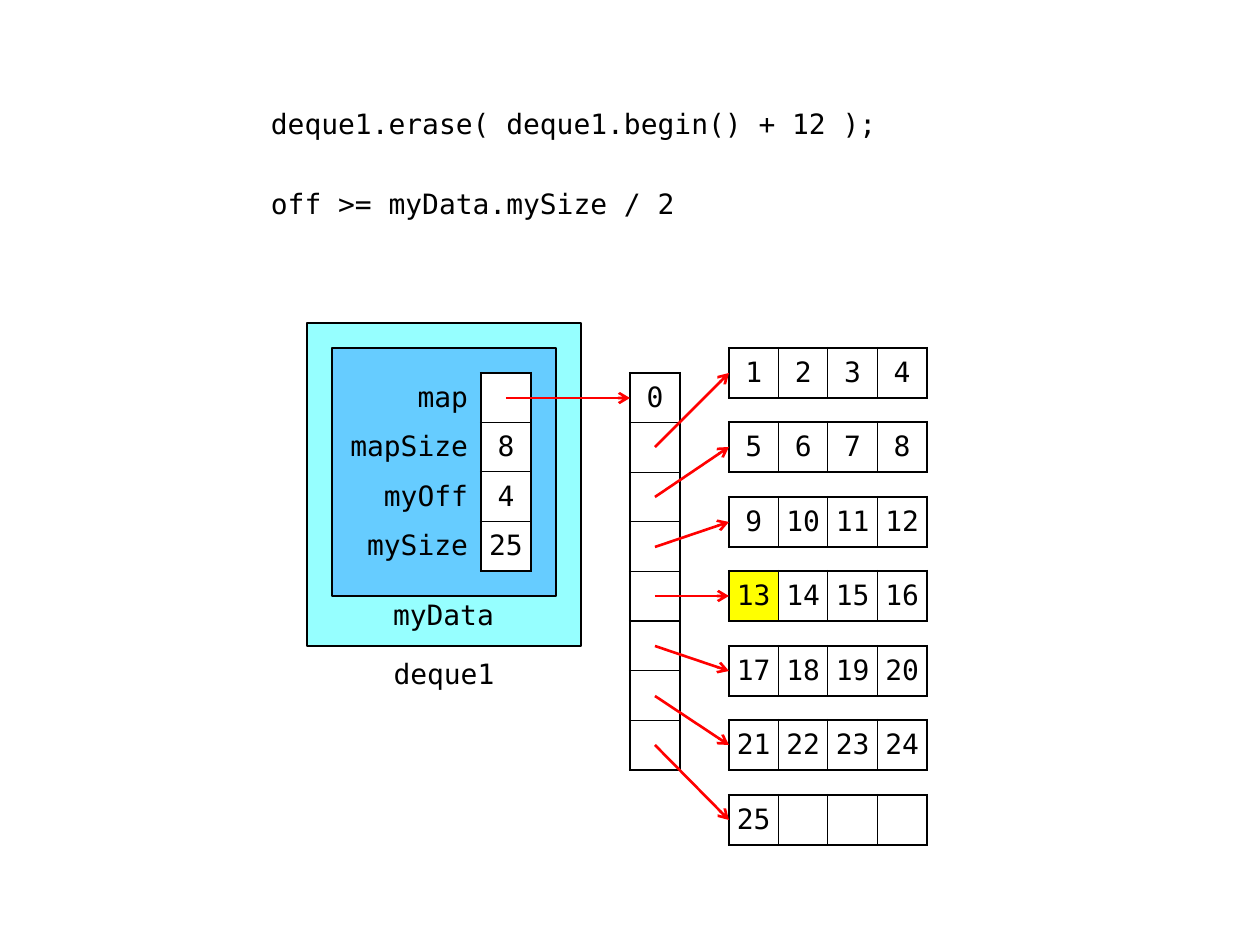
"""Draw a deque erase diagram with its map and blocks."""
from dataclasses import dataclass

from lxml import etree
from pptx import Presentation
from pptx.dml.color import RGBColor
from pptx.enum.shapes import MSO_CONNECTOR, MSO_SHAPE
from pptx.enum.text import MSO_ANCHOR, PP_ALIGN
from pptx.oxml.ns import qn
from pptx.util import Pt

SCALE = 914400 / 126
STRAIGHT = MSO_CONNECTOR.STRAIGHT
PROCESS = MSO_SHAPE.FLOWCHART_PROCESS
TOP, MIDDLE = MSO_ANCHOR.TOP, MSO_ANCHOR.MIDDLE
LEFT, CENTER, RIGHT = PP_ALIGN.LEFT, PP_ALIGN.CENTER, PP_ALIGN.RIGHT


@dataclass(frozen=True)
class Theme:
    """Hold the colours, type and line widths."""
    font: str = "DejaVu Sans Mono"
    size: int = 16
    gap: int = 26
    ink: str = "000000"
    paper: str = "FFFFFF"
    mark: str = "FFFF00"
    arrow: str = "FF0000"
    outer: str = "96FFFF"
    inner: str = "66CCFF"
    thick: float = 1.5
    thin: float = 0.75


THEME = Theme()


def px(*values):
    """Turn pixels into EMU."""
    return [round(value * SCALE) for value in values]


def color(code):
    """Turn a hex code into a colour."""
    return RGBColor.from_string(code)


def style(frame, align):
    """Align and format all text in a frame."""
    for para in frame.paragraphs:
        para.alignment = align
        for run in para.runs:
            run.font.name = THEME.font
            run.font.size = Pt(THEME.size)
            run.font.color.rgb = color(THEME.ink)


def add_text(slide, box, text, align=CENTER, anchor=TOP, inset=(13, 6)):
    """Add a text box with a side and a top inset."""
    frame = slide.shapes.add_textbox(*px(*box)).text_frame
    frame.word_wrap = True
    frame.vertical_anchor = anchor
    side, top = px(*inset)
    frame.margin_left = frame.margin_right = side
    frame.margin_top, frame.margin_bottom = top, 0
    frame.text = text
    for para in frame.paragraphs[1:]:
        para.space_before = Pt(THEME.gap)
    style(frame, align)


def add_box(slide, box, fill):
    """Add a filled box with a thick outline."""
    shape = slide.shapes.add_shape(PROCESS, *px(*box))
    shape.shadow.inherit = False
    shape.fill.solid()
    shape.fill.fore_color.rgb = color(fill)
    shape.line.color.rgb = color(THEME.ink)
    shape.line.width = Pt(THEME.thick)


def add_arrow(slide, start, end):
    """Add an arrow between two points."""
    link = slide.shapes.add_connector(STRAIGHT, *px(*start, *end))
    link.line.color.rgb = color(THEME.arrow)
    link.line.width = Pt(THEME.thick)
    line = link.line._get_or_add_ln()
    etree.SubElement(line, qn("a:tailEnd"), type="arrow")
    etree.SubElement(link._element.spPr, qn("a:effectLst"))


def set_edge(cell, side, width):
    """Draw one cell edge, or hide it at width zero."""
    props = cell._tc.get_or_add_tcPr()
    line = etree.SubElement(props, qn("a:ln" + side), w=str(Pt(width)))
    if width:
        fill = etree.SubElement(line, qn("a:solidFill"))
        etree.SubElement(fill, qn("a:srgbClr"), val=THEME.ink)
    else:
        etree.SubElement(line, qn("a:noFill"))


def set_cell(cell, text, edges, fill=None, align=CENTER, inset=5):
    """Fill a cell with text, edges and a colour."""
    for side, width in zip("LRTB", edges):
        set_edge(cell, side, width)
    if fill:
        cell.fill.solid()
        cell.fill.fore_color.rgb = color(fill)
    else:
        cell.fill.background()
    cell.margin_left, cell.margin_right = px(inset, inset)
    cell.margin_top, cell.margin_bottom = px(5, 5)
    cell.vertical_anchor = MIDDLE
    cell.text = text
    style(cell.text_frame, align)


def add_grid(slide, box, rows, widths):
    """Add a plain table and yield its cells with text and place."""
    frame = slide.shapes.add_table(len(rows), len(widths), *px(*box))
    grid = frame.table
    grid.first_row = grid.horz_banding = False
    for col, width in zip(grid.columns, px(*widths)):
        col.width = width
    for r, row in enumerate(rows):
        for c, text in enumerate(row):
            yield grid.cell(r, c), text, r, c


def span(index, count):
    """Give the two edge widths of a cell along one axis."""
    return (THEME.thin if index else THEME.thick,
            THEME.thin if index < count - 1 else THEME.thick)


def add_cells(slide, box, rows, marked=None):
    """Add an evenly split table in a thick frame."""
    count = len(rows[0])
    widths = [box[2] / count] * count
    for cell, text, r, c in add_grid(slide, box, rows, widths):
        fill = THEME.mark if text == marked else THEME.paper
        set_cell(cell, text, span(c, count) + span(r, len(rows)), fill)


def add_fields(slide, box, rows):
    """Add right-aligned names beside framed values."""
    for cell, text, r, c in add_grid(slide, box, rows, [149, 50]):
        if c:
            edges = (THEME.thick, THEME.thick) + span(r, len(rows))
            set_cell(cell, text, edges, THEME.paper, inset=0)
        else:
            edges = (0, THEME.thick, 0, 0)
            set_cell(cell, text, edges, align=RIGHT, inset=13)


def main():
    """Build the slide and save it."""
    deck = Presentation()
    deck.slide_width, deck.slide_height = px(1260, 945)
    slide = deck.slides.add_slide(deck.slide_layouts[6])

    code = "deque1.erase( deque1.begin() + 12 );\noff >= myData.mySize / 2"
    add_text(slide, (258, 101, 745, 123), code, LEFT)

    add_box(slide, (307, 323, 274, 323), THEME.outer)
    add_box(slide, (332, 348, 224, 248), THEME.inner)
    add_text(slide, (357, 646, 174, 50), "deque1", anchor=MIDDLE,
             inset=(10, 5))
    add_text(slide, (382, 596, 123, 50), "myData", inset=(10, 2))
    fields = [("map", ""), ("mapSize", "8"), ("myOff", "4"), ("mySize", "25")]
    add_fields(slide, (332, 373, 199, 198), fields)

    slots, high = 8, 397
    add_cells(slide, (630, 373, 50, high), [["0"]] + [[""]] * (slots - 1))
    add_arrow(slide, (506, 398), (630, 398))

    for i in range(slots - 1):
        top = 348 + 447 * i // 6
        first = 4 * i + 1
        row = [str(n) if n <= 25 else "" for n in range(first, first + 4)]
        add_cells(slide, (729, top, 198, 50), [row], "13")
        start = 373 + round(high * (i + 1.5) / slots)
        add_arrow(slide, (655, start), (729, top + 25))

    deck.save("out.pptx")


main()
